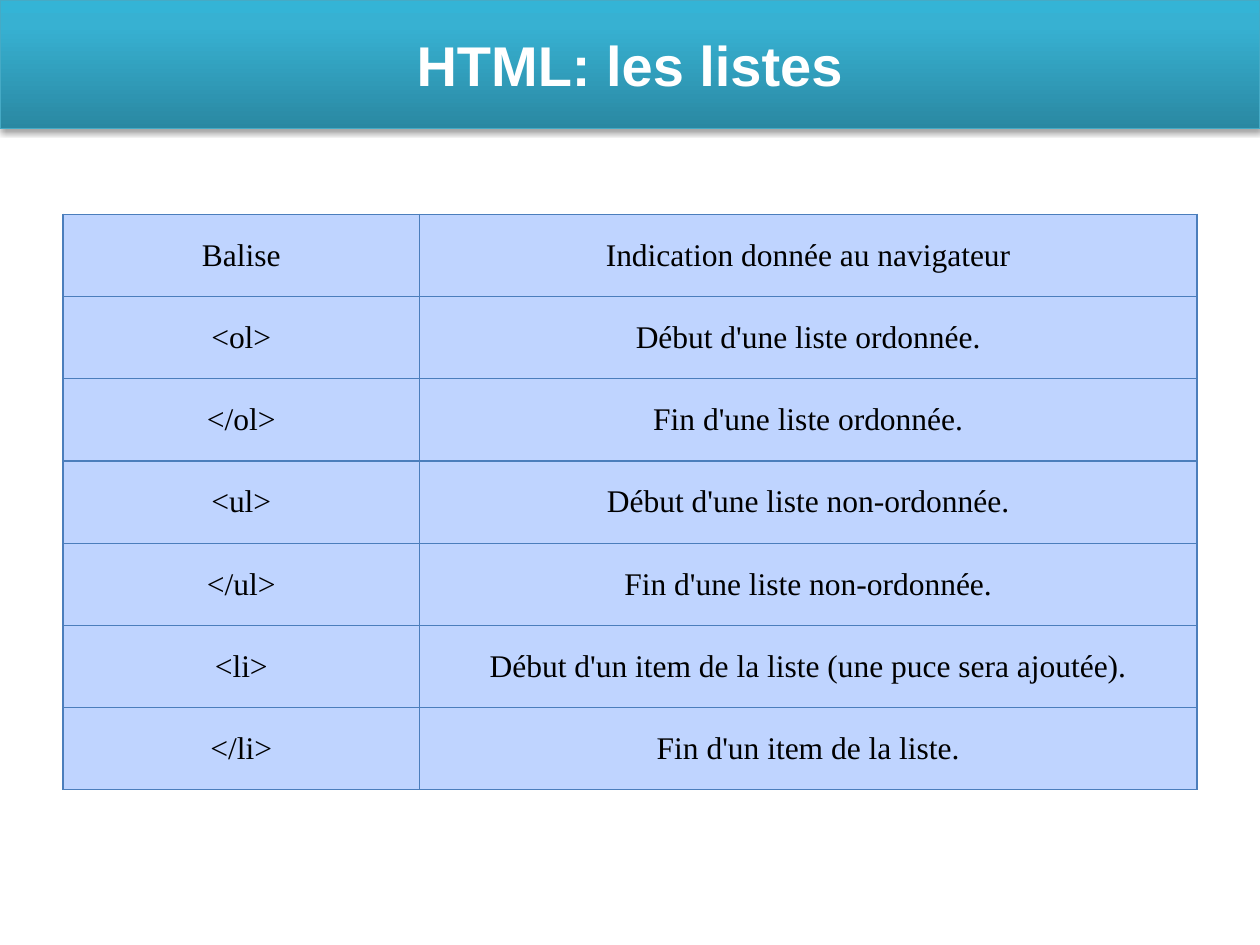
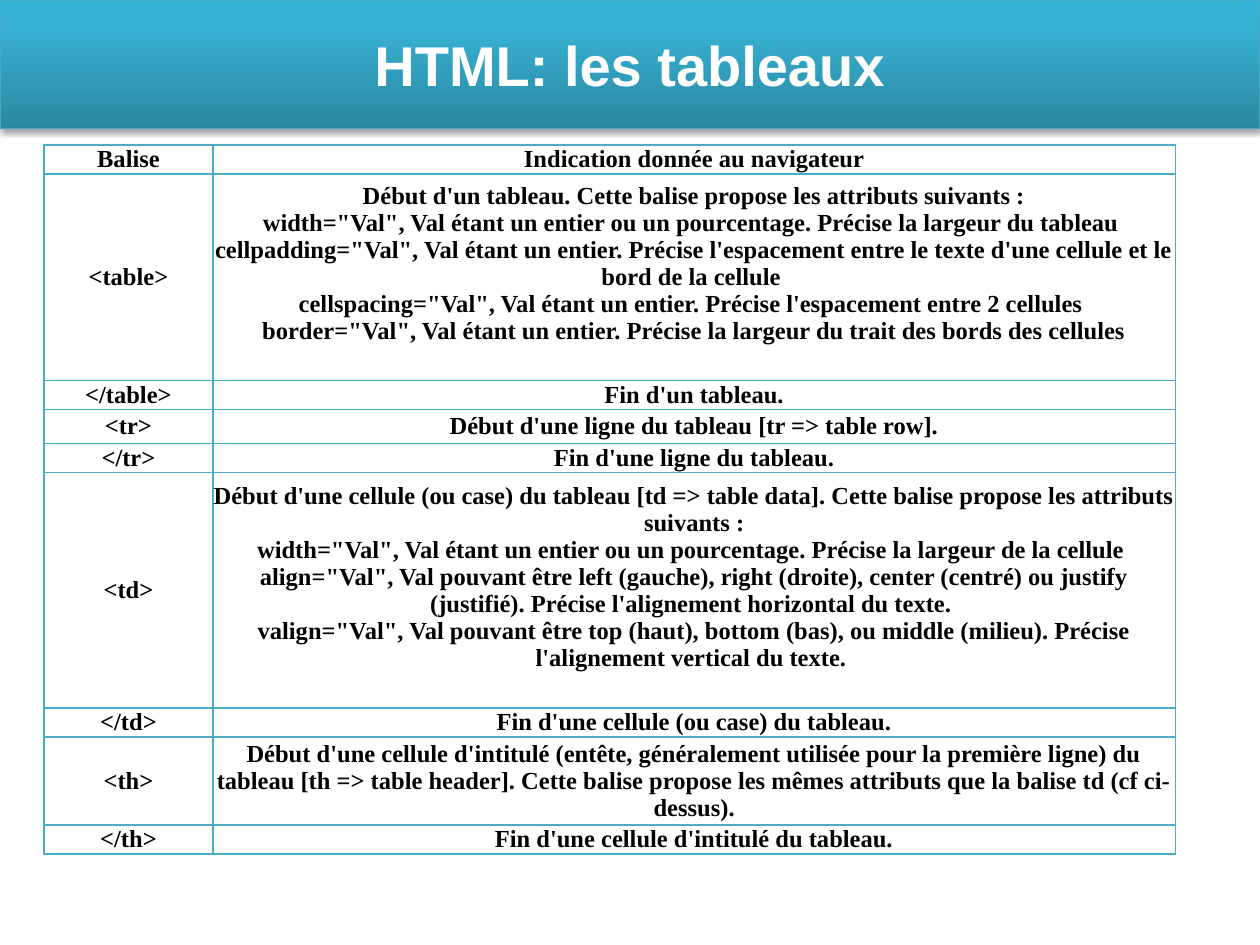
from copy import deepcopy
from pptx import Presentation
from pptx.dml.color import RGBColor
from pptx.enum.shapes import MSO_SHAPE
from pptx.enum.text import MSO_ANCHOR, PP_ALIGN
from pptx.oxml import parse_xml
from pptx.oxml.ns import nsdecls, qn
from pptx.util import Inches, Pt

COLORS = {
    "band_bottom": "2A88A2", "band_middle": "37B1D2", "band_top": "34B4D6",
    "band_line": "46AAC5", "title": "FFFFFF", "text": "000000", "shadow": "000000",
    "list_fill": "BFD4FF", "list_border": "4B7EBC", "table_border": "4BACC6",
}
WIDTH, HEIGHT, BAND_HEIGHT = 10, 7.5, 1.02
BAND_STOPS = [(0, "band_bottom"), (80, "band_middle"), (100, "band_top")]
HEADER = ("Balise", "Indication donnée au navigateur")

LIST_TAGS = [
    HEADER,
    ("<ol>", "Début d'une liste ordonnée."),
    ("</ol>", "Fin d'une liste ordonnée."),
    ("<ul>", "Début d'une liste non-ordonnée."),
    ("</ul>", "Fin d'une liste non-ordonnée."),
    ("<li>", "Début d'un item de la liste (une puce sera ajoutée)."),
    ("</li>", "Fin d'un item de la liste."),
]
TABLE_TAGS = [
    HEADER,
    ("<table>", "\n".join([
        "Début d'un tableau. Cette balise propose les attributs suivants :",
        'width="Val", Val étant un entier ou un pourcentage. Précise la largeur du tableau ',
        'cellpadding="Val", Val étant un entier. Précise l\'espacement entre le texte '
        "d'une cellule et le bord de la cellule ",
        'cellspacing="Val", Val étant un entier. Précise l\'espacement entre 2 cellules ',
        'border="Val", Val étant un entier. Précise la largeur du trait des bords des cellules',
    ])),
    ("</table>", "Fin d'un tableau."),
    ("<tr>", "Début d'une ligne du tableau [tr => table row]."),
    ("</tr>", "Fin d'une ligne du tableau."),
    ("<td>", "\n".join([
        "Début d'une cellule (ou case) du tableau [td => table data]. "
        "Cette balise propose les attributs suivants :",
        'width="Val", Val étant un entier ou un pourcentage. Précise la largeur de la cellule ',
        'align="Val", Val pouvant être left (gauche), right (droite), center (centré) '
        "ou justify (justifié). Précise l'alignement horizontal du texte. ",
        'valign="Val", Val pouvant être top (haut), bottom (bas), ou middle (milieu). '
        "Précise l'alignement vertical du texte. ",
    ])),
    ("</td>", "Fin d'une cellule (ou case) du tableau."),
    ("<th>", "Début d'une cellule d'intitulé (entête, généralement utilisée pour la première "
             "ligne) du tableau [th => table header]. Cette balise propose les mêmes "
             "attributs que la balise td (cf ci-dessus)."),
    ("</th>", "Fin d'une cellule d'intitulé du tableau."),
]
LINE_ROW = 0.23
SLIDES = [
    dict(title="HTML: les listes", rows=LIST_TAGS, left=0.5, top=1.7,
         columns=[2.83, 6.17], heights=[4.57 / len(LIST_TAGS)] * len(LIST_TAGS),
         border="list_border", border_width=0.75, fill="list_fill", size=18, bold=False),
    dict(title="HTML: les tableaux", rows=TABLE_TAGS, left=0.35, top=1.15,
         columns=[1.34, 7.64],
         heights=[LINE_ROW, 1.64, LINE_ROW, 0.27, LINE_ROW, 1.87, LINE_ROW, 0.7, LINE_ROW],
         border="table_border", border_width=1, fill=None, size=14, bold=True),
]


def rgb(name):
    return RGBColor.from_string(COLORS[name])


def write_text(frame, text, *, size, font, color, bold=False):
    paragraph = frame.paragraphs[0]
    paragraph.text = text
    paragraph.alignment = PP_ALIGN.CENTER
    for run in paragraph.runs:
        run.font.size = Pt(size)
        run.font.name = font
        run.font.bold = bold
        run.font.color.rgb = rgb(color)
    for line_break in paragraph._p.findall(qn("a:br")):
        line_break.append(deepcopy(paragraph.runs[0]._r.rPr))


def add_title_band(slide, title):
    band = slide.shapes.add_shape(MSO_SHAPE.RECTANGLE, 0, 0, Inches(WIDTH), Inches(BAND_HEIGHT))
    band.line.color.rgb = rgb("band_line")
    band.line.width = Pt(0.75)
    band.fill.background()
    stops = "".join(f'<a:gs pos="{share * 1000}"><a:srgbClr val="{COLORS[name]}"/></a:gs>'
                    for share, name in BAND_STOPS)
    properties = band._element.spPr
    properties.replace(properties.find(qn("a:noFill")), parse_xml(
        f'<a:gradFill {nsdecls("a")} rotWithShape="1"><a:gsLst>{stops}</a:gsLst>'
        '<a:lin ang="16200000" scaled="0"/></a:gradFill>'))
    band.shadow.inherit = False
    properties.find(qn("a:effectLst")).append(parse_xml(
        f'<a:outerShdw {nsdecls("a")} blurRad="{Pt(3.1)}" dist="{Pt(1.8)}" dir="5400000" '
        f'rotWithShape="0"><a:srgbClr val="{COLORS["shadow"]}"><a:alpha val="35000"/>'
        '</a:srgbClr></a:outerShdw>'))
    band.text_frame.vertical_anchor = MSO_ANCHOR.MIDDLE
    write_text(band.text_frame, title, size=32, font="Arial", color="title", bold=True)


def set_borders(cell, color, width):
    for side in ("lnL", "lnR", "lnT", "lnB"):
        cell._tc.get_or_add_tcPr().append(parse_xml(
            f'<a:{side} {nsdecls("a")} w="{Pt(width)}"><a:solidFill>'
            f'<a:srgbClr val="{COLORS[color]}"/></a:solidFill></a:{side}>'))


def add_tag_table(slide, content):
    rows, columns, heights = content["rows"], content["columns"], content["heights"]
    table = slide.shapes.add_table(
        len(rows), len(columns), Inches(content["left"]), Inches(content["top"]),
        Inches(sum(columns)), Inches(sum(heights))).table
    table.first_row = table.horz_banding = False
    for column, width in zip(table.columns, columns):
        column.width = Inches(width)
    for row, height, texts in zip(table.rows, heights, rows):
        row.height = Inches(height)
        for cell, text in zip(row.cells, texts):
            cell.margin_left = cell.margin_right = cell.margin_top = 0
            cell.margin_bottom = Inches(0.21 if "\n" in text else 0)
            cell.vertical_anchor = MSO_ANCHOR.MIDDLE
            set_borders(cell, content["border"], content["border_width"])
            if content["fill"]:
                cell.fill.solid()
                cell.fill.fore_color.rgb = rgb(content["fill"])
            else:
                cell.fill.background()
            write_text(cell.text_frame, text, size=content["size"], font="Times New Roman",
                       color="text", bold=content["bold"])


def main():
    presentation = Presentation()
    presentation.slide_width = Inches(WIDTH)
    presentation.slide_height = Inches(HEIGHT)
    for content in SLIDES:
        slide = presentation.slides.add_slide(presentation.slide_layouts[6])
        add_title_band(slide, content["title"])
        add_tag_table(slide, content)
    presentation.save("out.pptx")


if __name__ == "__main__":
    main()
